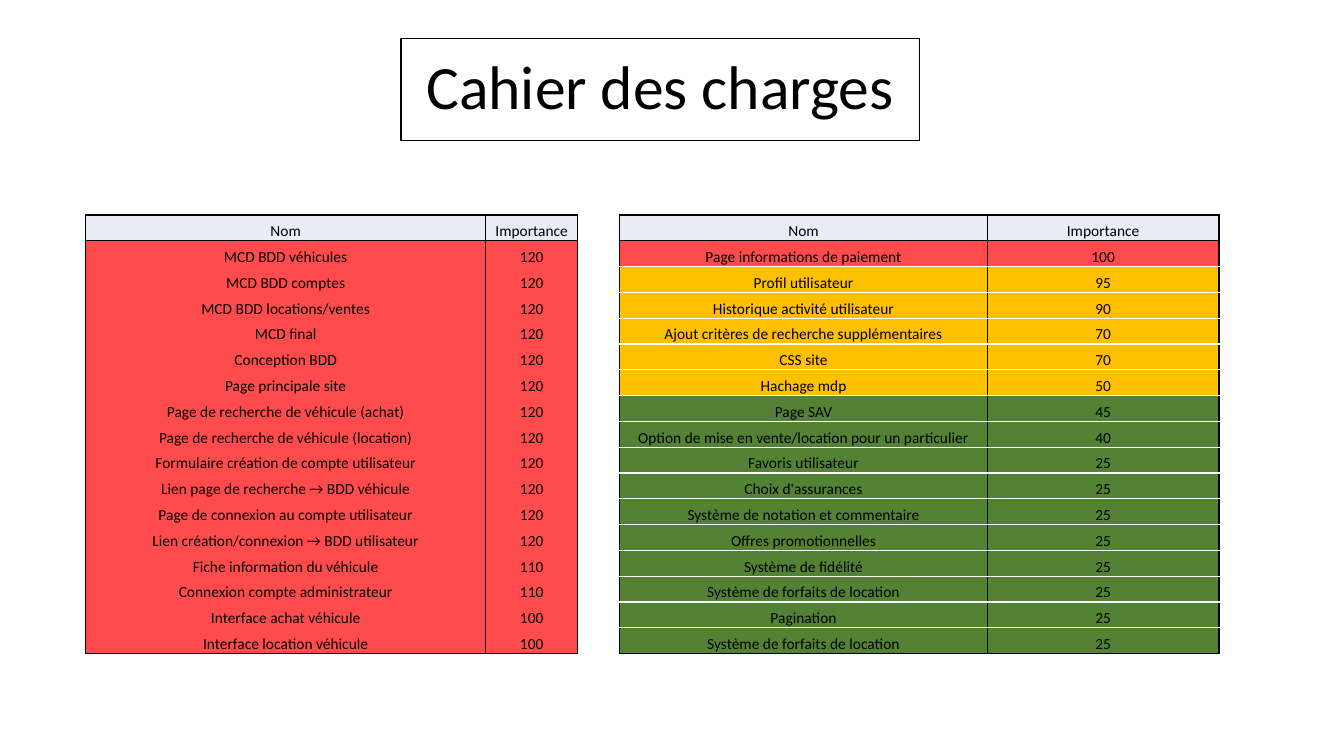
from lxml import etree
from pptx import Presentation
from pptx.dml.color import RGBColor
from pptx.enum.text import MSO_ANCHOR, MSO_AUTO_SIZE, PP_ALIGN
from pptx.oxml.ns import qn
from pptx.util import Cm, Pt

CENTER = PP_ALIGN.CENTER
MIDDLE, BOTTOM = MSO_ANCHOR.MIDDLE, MSO_ANCHOR.BOTTOM
NO_AUTOFIT = MSO_AUTO_SIZE.NONE

COLORS = {
    "black": "000000",
    "white": "FFFFFF",
    "header": "E9EBF5",
    "high": "FF4B4B",
    "medium": "FFC000",
    "low": "548235",
}
TABLE_TOP = 5.42
ROW_HEIGHT = 0.65
HEADER = ("Nom", "Importance")

main_needs = [
    ("MCD BDD véhicules", 120),
    ("MCD BDD comptes", 120),
    ("MCD BDD locations/ventes", 120),
    ("MCD final", 120),
    ("Conception BDD", 120),
    ("Page principale site", 120),
    ("Page de recherche de véhicule (achat)", 120),
    ("Page de recherche de véhicule (location)", 120),
    ("Formulaire création de compte utilisateur", 120),
    ("Lien page de recherche → BDD véhicule", 120),
    ("Page de connexion au compte utilisateur", 120),
    ("Lien création/connexion → BDD utilisateur", 120),
    ("Fiche information du véhicule", 110),
    ("Connexion compte administrateur", 110),
    ("Interface achat véhicule", 100),
    ("Interface location véhicule", 100),
]
other_needs = [
    ("Page informations de paiement", 100),
    ("Profil utilisateur", 95),
    ("Historique activité utilisateur", 90),
    ("Ajout critères de recherche supplémentaires", 70),
    ("CSS site", 70),
    ("Hachage mdp", 50),
    ("Page SAV", 45),
    ("Option de mise en vente/location pour un particulier", 40),
    ("Favoris utilisateur", 25),
    ("Choix d'assurances", 25),
    ("Système de notation et commentaire", 25),
    ("Offres promotionnelles", 25),
    ("Système de fidélité", 25),
    ("Système de forfaits de location", 25),
    ("Pagination", 25),
    ("Système de forfaits de location", 25),
]
# Left edge, column widths, colour of the lines between rows, needs
need_tables = [
    (2.16, (10.08, 2.32), None, main_needs),
    (15.62, (9.26, 5.84), "white", other_needs),
]


def write_text(frame, text, *, size, color="black", spacing=1.0):
    paragraph = frame.paragraphs[0]
    paragraph.alignment = CENTER
    paragraph.line_spacing = spacing
    run = paragraph.add_run()
    run.text = text
    run.font.name = "Calibri"
    run.font.size = Pt(size)
    run.font.bold = False
    run.font.color.rgb = RGBColor.from_string(COLORS[color])


def set_borders(cell, top, bottom):
    """Draw black sides; a top or bottom colour of None hides that edge."""
    properties = cell._tc.get_or_add_tcPr()
    edges = {"a:lnL": "black", "a:lnR": "black", "a:lnT": top, "a:lnB": bottom}
    for tag, color in edges.items():
        line = etree.SubElement(properties, qn(tag), w=str(Pt(1)))
        if color is None:
            etree.SubElement(line, qn("a:noFill"))
        else:
            solid = etree.SubElement(line, qn("a:solidFill"))
            etree.SubElement(solid, qn("a:srgbClr"), val=COLORS[color])


presentation = Presentation()
presentation.slide_width, presentation.slide_height = Cm(33.87), Cm(19.05)
slide = presentation.slides.add_slide(presentation.slide_layouts[5])

title = slide.shapes.title
title.left, title.top, title.width, title.height = Cm(10.11), Cm(0.97), Cm(13.06), Cm(2.57)
title.fill.solid()
title.fill.fore_color.rgb = RGBColor.from_string(COLORS["white"])
title.line.color.rgb = RGBColor.from_string(COLORS["black"])
title.line.width = Pt(1)
title.text_frame.auto_size = NO_AUTOFIT
title.text_frame.vertical_anchor = MIDDLE
write_text(title.text_frame, "Cahier des charges", size=44, spacing=0.9)

for left, widths, separator, needs in need_tables:
    rows = [HEADER, *needs]
    last = len(rows) - 1
    table = slide.shapes.add_table(
        len(rows), len(HEADER), Cm(left), Cm(TABLE_TOP),
        Cm(sum(widths)), Cm(ROW_HEIGHT * len(rows)),
    ).table
    table.first_row = table.horz_banding = False
    for column, width in zip(table.columns, widths):
        column.width = Cm(width)

    for index, values in enumerate(rows):
        table.rows[index].height = Cm(ROW_HEIGHT)
        if index == 0:
            level = "header"
        elif values[1] >= 100:
            level = "high"
        elif values[1] >= 50:
            level = "medium"
        else:
            level = "low"
        top = "black" if index <= 1 else separator
        bottom = "black" if index in (0, last) else separator
        for cell, value in zip(table.rows[index].cells, values):
            set_borders(cell, top, bottom)
            cell.fill.solid()
            cell.fill.fore_color.rgb = RGBColor.from_string(COLORS[level])
            cell.vertical_anchor = BOTTOM
            cell.margin_left = cell.margin_right = cell.margin_top = Cm(0.02)
            cell.margin_bottom = 0
            write_text(cell.text_frame, str(value), size=11)

presentation.save("out.pptx")
